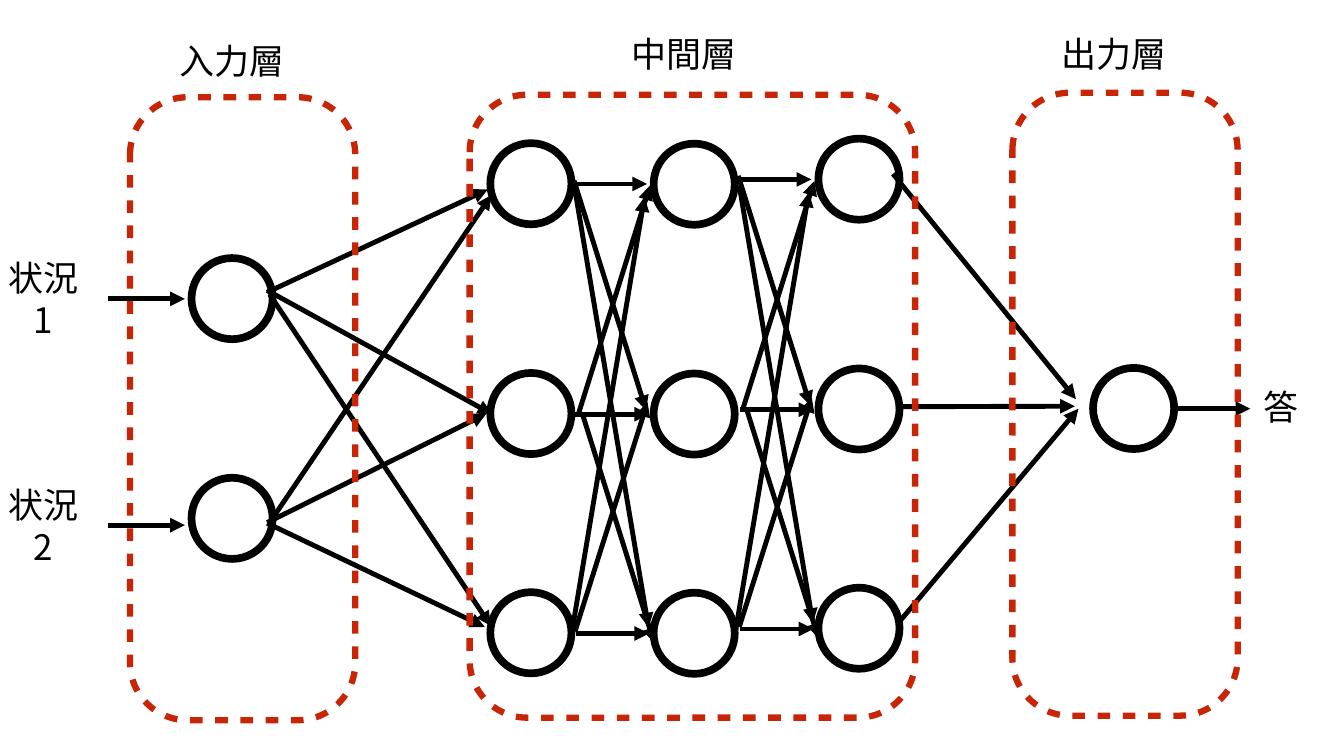
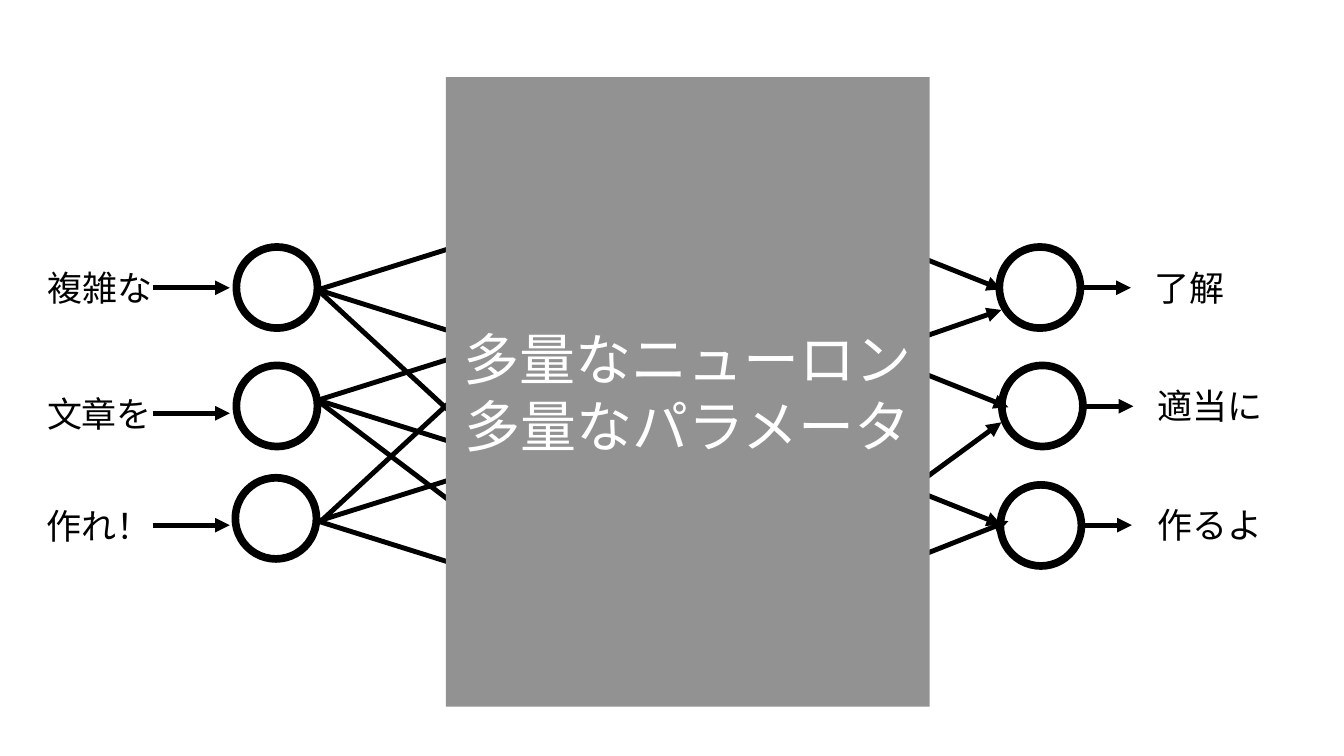
import itertools
from typing import NamedTuple

import pptx
import pptx.dml.color
import pptx.enum.shapes
import pptx.enum.text
import pptx.oxml
import pptx.oxml.ns
import pptx.presentation
import pptx.slide
import pptx.util
from pptx.util import Inches

BLACK, RED, GRAY, WHITE = "000000", "C82506", "929292", "FFFFFF"
FONT = "Noto Sans CJK JP"
DIAMETER = 1.61
FRAME_HEIGHT = 12.36
FRAME_RADIUS = 1.14
LABEL_HEIGHT = 0.85
LABEL_SIZE, PANEL_SIZE = 50, 80
LINE_PITCH = 1.2
SHAPES = pptx.enum.shapes.MSO_SHAPE


class Arrow(NamedTuple):
    x1: float
    y1: float
    x2: float
    y2: float

    def moved(self, dx: float, dy: float) -> "Arrow":
        return Arrow(self.x1 + dx, self.y1 + dy, self.x2 + dx, self.y2 + dy)


class Label(NamedTuple):
    text: str
    left: float
    top: float
    width: float = 2.25
    height: float = LABEL_HEIGHT
    wrap: bool = False


class Frame(NamedTuple):
    left: float
    top: float
    width: float


def colour(value: str) -> pptx.dml.color.RGBColor:
    return pptx.dml.color.RGBColor.from_string(value)


def drawing_element(name: str, content: str = ""):
    namespace = pptx.oxml.ns.nsdecls("a")
    return pptx.oxml.parse_xml(f"<a:{name} {namespace}>{content}</a:{name}>")


def style_line(line, value: str, width: float) -> None:
    line.color.rgb = colour(value)
    line.width = pptx.util.Pt(width)


def write_text(text_frame, lines: list[str], size: int, value: str,
               inset: float, wrap: bool) -> None:
    settings = {
        "word_wrap": wrap,
        "vertical_anchor": pptx.enum.text.MSO_ANCHOR.MIDDLE,
        **{f"margin_{side}": Inches(inset)
           for side in ("left", "top", "right", "bottom")},
    }
    for name, setting in settings.items():
        setattr(text_frame, name, setting)
    for index, line in enumerate(lines):
        paragraph = (text_frame.add_paragraph() if index
                     else text_frame.paragraphs[0])
        paragraph.alignment = pptx.enum.text.PP_ALIGN.CENTER
        paragraph.line_spacing = pptx.util.Pt(size * LINE_PITCH)
        run = paragraph.add_run()
        run.text = line
        run.font.name = FONT
        run.font.size = pptx.util.Pt(size)
        run.font.color.rgb = colour(value)
        east_asian = drawing_element("ea")
        east_asian.set("typeface", FONT)
        run.font._element.append(east_asian)


def add_neuron(slide: pptx.slide.Slide, left: float, top: float) -> None:
    shape = slide.shapes.add_shape(SHAPES.OVAL, Inches(left), Inches(top),
                                   Inches(DIAMETER), Inches(DIAMETER))
    shape.shadow.inherit = False
    shape.fill.background()
    style_line(shape.line, BLACK, 11)


def add_arrow(slide: pptx.slide.Slide, arrow: Arrow) -> None:
    connector = slide.shapes.add_connector(
        pptx.enum.shapes.MSO_CONNECTOR.STRAIGHT, *map(Inches, arrow))
    style_line(connector.line, BLACK, 7)
    tail = drawing_element("tailEnd")
    tail.set("type", "triangle")
    connector.line._get_or_add_ln().append(tail)
    connector._element.spPr.append(drawing_element("effectLst"))


def add_label(slide: pptx.slide.Slide, label: Label) -> None:
    box = slide.shapes.add_textbox(Inches(label.left), Inches(label.top),
                                   Inches(label.width), Inches(label.height))
    write_text(box.text_frame, [label.text], LABEL_SIZE, BLACK, 0.08, label.wrap)


def add_frame(slide: pptx.slide.Slide, frame: Frame) -> None:
    """Draw the dashed outline around one layer."""
    shape = slide.shapes.add_shape(
        SHAPES.ROUNDED_RECTANGLE, Inches(frame.left), Inches(frame.top),
        Inches(frame.width), Inches(FRAME_HEIGHT))
    shape.adjustments[0] = FRAME_RADIUS / min(frame.width, FRAME_HEIGHT)
    shape.shadow.inherit = False
    shape.fill.background()
    style_line(shape.line, RED, 9)
    shape.line._get_or_add_ln().append(
        drawing_element("custDash", '<a:ds d="200000" sp="200000"/>'))


def add_panel(slide: pptx.slide.Slide, lines: list[str]) -> None:
    panel = slide.shapes.add_shape(SHAPES.RECTANGLE, Inches(8.85), Inches(1.53),
                                   Inches(9.6), Inches(12.49))
    panel.shadow.inherit = False
    panel.fill.solid()
    panel.fill.fore_color.rgb = colour(GRAY)
    panel.line.fill.background()
    write_text(panel.text_frame, lines, PANEL_SIZE, WHITE, 0.06, True)


def add_slide(presentation: pptx.presentation.Presentation) -> pptx.slide.Slide:
    return presentation.slides.add_slide(presentation.slide_layouts[6])


def draw_network(slide: pptx.slide.Slide) -> None:
    hidden_rows = (0, 4.56, 8.91)
    hidden_columns = ((9.73, 2.84), (12.97, 2.85), (16.24, 2.75))
    neurons = [(3.8, 5.12), (3.8, 9.48), (21.69, 7.3)]
    neurons += [(left, top + row) for (left, top), row
                in itertools.product(hidden_columns, hidden_rows)]

    input_arrows = [Arrow(2.14, y, 3.67, y) for y in (5.93, 10.42)]
    input_links = [
        Arrow(5.3, 5.8, 9.68, 3.76),
        Arrow(5.3, 5.76, 9.77, 8.22),
        Arrow(5.35, 5.84, 9.74, 12.42),
        Arrow(5.35, 10.37, 9.75, 3.87),
        Arrow(5.3, 10.37, 9.65, 8.21),
        Arrow(5.3, 10.38, 9.62, 12.44),
    ]
    hidden_links = [
        Arrow(11.39, 3.65, 12.84, 3.65),
        Arrow(11.42, 8.22, 12.88, 8.22),
        Arrow(11.43, 12.57, 12.88, 12.57),
        Arrow(11.41, 3.77, 12.87, 12.45),
        Arrow(11.39, 3.58, 12.82, 8.14),
        Arrow(11.55, 8.19, 12.98, 12.75),
        Arrow(11.41, 12.53, 12.85, 7.98),
        Arrow(11.47, 8.24, 12.9, 3.68),
        Arrow(11.34, 12.59, 12.79, 3.91),
    ]
    next_hidden_links = [link.moved(3.26, -0.09) for link in hidden_links]
    output_links = [
        Arrow(17.72, 3.45, 21.35, 7.92),
        Arrow(17.78, 8.07, 21.33, 8.06),
        Arrow(17.81, 12.38, 21.4, 8.11),
        Arrow(23.29, 8.11, 24.81, 8.11),
    ]
    labels = [
        Label("状況1", 0.06, 5.08, 1.6, 1.7, True),
        Label("状況2", 0.06, 9.58, 1.6, 1.7, True),
        Label("答", 25, 7.64, 0.86),
        Label("入力層", 3.48, 0.78),
        Label("中間層", 12.44, 0.64),
        Label("出力層", 20.99, 0.64),
    ]
    frames = [Frame(2.58, 1.93, 4.47), Frame(9.32, 1.88, 8.84),
              Frame(20.09, 1.84, 4.47)]

    for left, top in neurons:
        add_neuron(slide, left, top)
    for arrow in input_arrows + input_links + output_links:
        add_arrow(slide, arrow)
    for label in labels:
        add_label(slide, label)
    for frame in frames:
        add_frame(slide, frame)
    for arrow in hidden_links + next_hidden_links:
        add_arrow(slide, arrow)


def draw_large_model(slide: pptx.slide.Slide) -> None:
    neurons = [(4.69, 4.9), (4.69, 7.25), (4.67, 9.48),
               (19.83, 4.9), (19.88, 7.25), (19.85, 9.62)]
    input_arrows = [Arrow(3.03, y, 4.56, y) for y in (5.71, 8.2, 10.42)]
    output_arrows = [Arrow(x, y, x + 1.01, y) for x, y in
                     ((21.43, 5.71), (21.48, 8.06), (21.45, 10.42))]
    input_links = [Arrow(6.31, y, 13.46, y + rise) for y, rise in
                   itertools.product((5.75, 7.94, 10.34), (-2.24, 2.24))]
    input_links += [
        Arrow(6.37, 5.81, 13.42, 12.31),
        Arrow(6.37, 8, 13.42, 13.34),
        Arrow(6.37, 10.34, 13.42, 3.83),
    ]
    output_links = [
        Arrow(14.34, 3.54, 19.87, 5.74),
        Arrow(14.34, 8.06, 19.87, 6.15),
        Arrow(14.48, 5.87, 20.01, 8.08),
        Arrow(14.36, 12.42, 19.87, 8.38),
        Arrow(14.34, 8.21, 19.87, 10.41),
        Arrow(14.21, 12.63, 20.01, 10.34),
    ]
    labels = [
        Label("複雑な", 0.86, 5.28),
        Label("文章を", 0.85, 7.77),
        Label("作れ！", 0.84, 10),
        Label("了解", 22.82, 5.28, 1.56),
        Label("適当に", 22.89, 7.63),
        Label("作るよ", 22.89, 9.99),
    ]

    for left, top in neurons:
        add_neuron(slide, left, top)
    for arrow in input_arrows + input_links + output_links + output_arrows:
        add_arrow(slide, arrow)
    for label in labels:
        add_label(slide, label)
    add_panel(slide, ["多量なニューロン", "多量なパラメータ"])


def main() -> None:
    presentation = pptx.Presentation()
    presentation.slide_width = Inches(26.67)
    presentation.slide_height = Inches(15)
    draw_network(add_slide(presentation))
    draw_large_model(add_slide(presentation))
    presentation.save("out.pptx")


if __name__ == "__main__":
    main()
